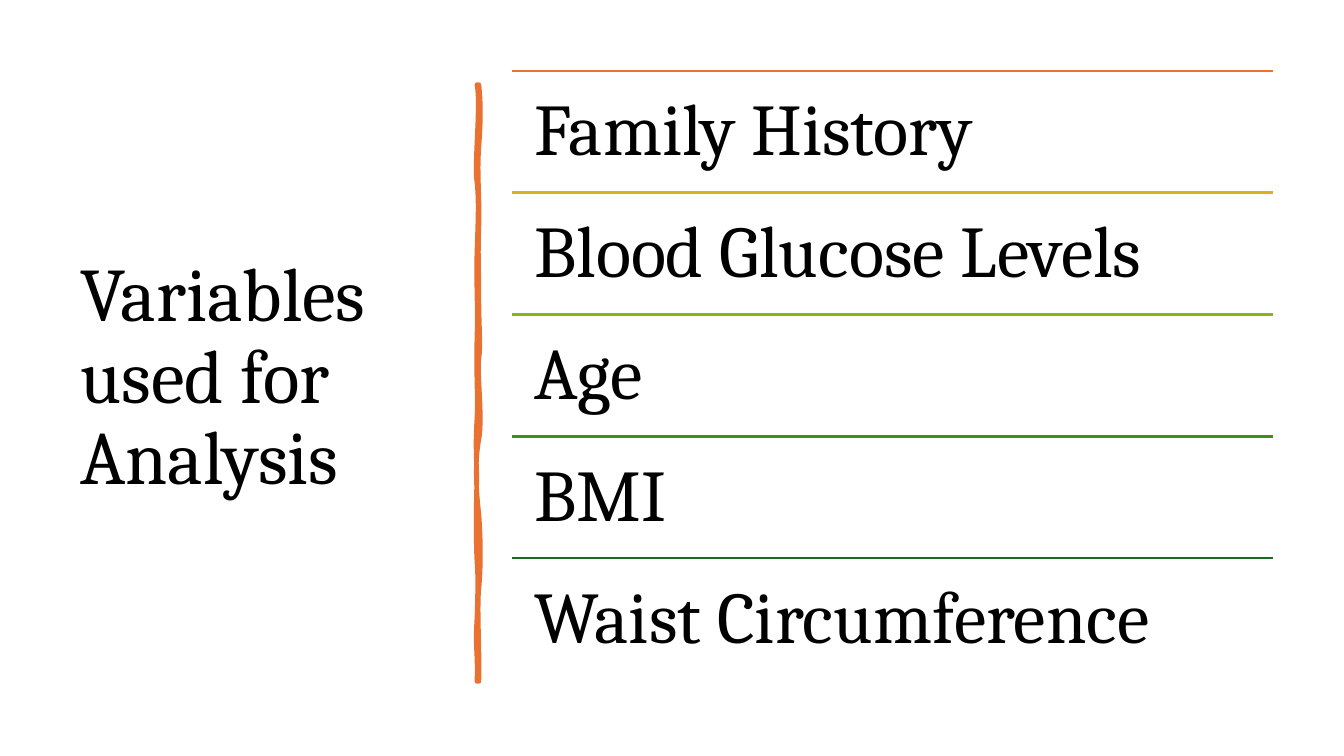
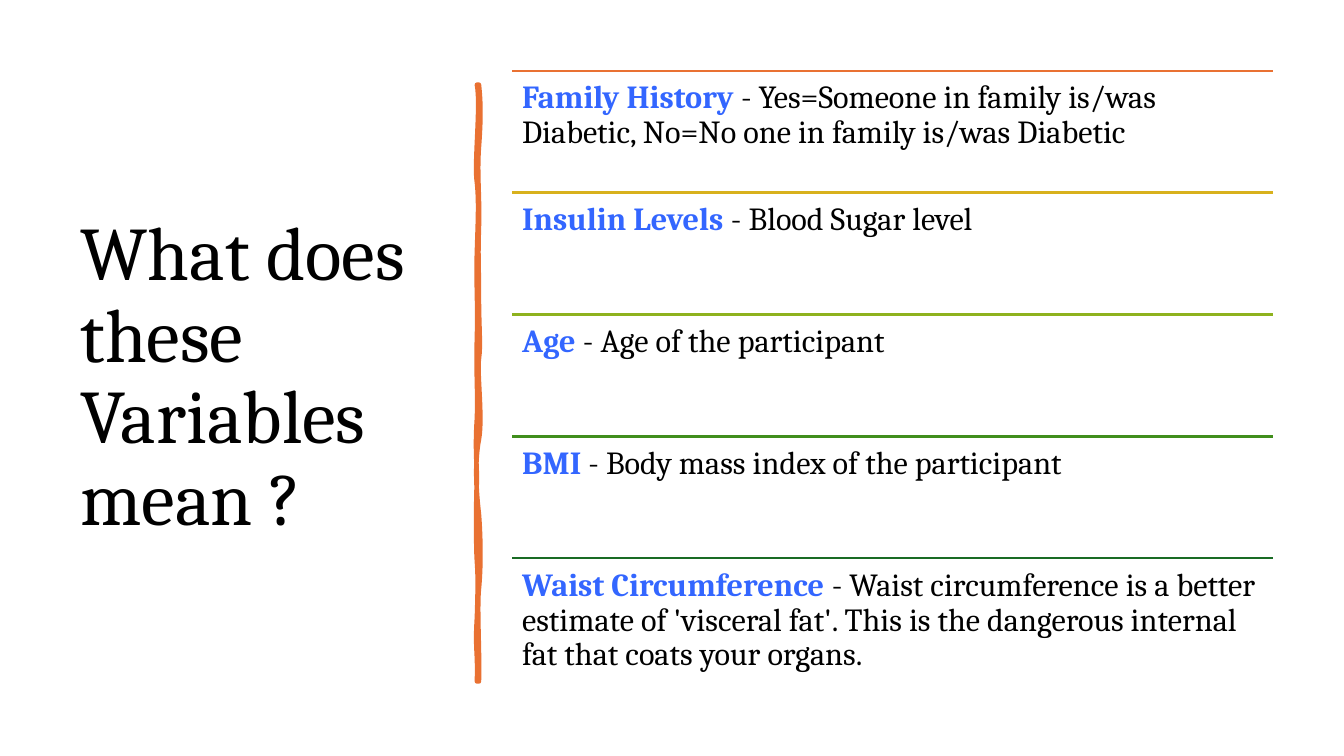
from itertools import chain

from lxml.etree import SubElement
from pptx import Presentation
from pptx.dml.color import RGBColor
from pptx.enum.shapes import MSO_CONNECTOR as Connector
from pptx.enum.text import MSO_ANCHOR as Anchor
from pptx.oxml.ns import qn
from pptx.util import Inches, Pt

FONT = "Cambria"
COLORS = {
    "text": "000000",
    "term": "3366FF",
    "divider": "E97132",
}
RULE_COLORS = ["E97132", "D8B11D", "8EB21E", "408E1C", "196B24"]
TITLE_BOX = (0.7, 0.7, 3.74, 6.11)
LIST_BOX = (5.08, 0.7, 7.55, 6.05)
DIVIDER_BOX = (4.73, 0.84, 0.02, 5.92)

DIVIDER_START = (0.02, 0)
DIVIDER_EDGE = [
    (0.04, 0.18, 0.04, 0.35, 0.02, 0.62),
    (0, 0.89, 0.03, 1.11, 0.02, 1.42),
    (0.01, 1.73, 0.02, 1.78, 0.02, 2.1),
    (0.02, 2.41, 0.04, 2.58, 0.02, 2.72),
    (0, 2.86, 0.06, 3.3, 0.02, 3.52),
    (-0.02, 3.73, -0.01, 4, 0.02, 4.26),
    (0.04, 4.52, 0.04, 4.8, 0.02, 5),
    (0, 5.19, 0.03, 5.66, 0.02, 5.92),
    (0.01, 5.92, 0, 5.92, 0, 5.92),
    (0.01, 5.62, -0.02, 5.6, 0, 5.29),
    (0.01, 4.99, 0.01, 4.86, 0, 4.73),
    (-0.01, 4.6, -0.01, 4.11, 0, 3.93),
    (0, 3.75, -0.02, 3.61, 0, 3.31),
    (0.01, 3.02, -0.01, 2.89, 0, 2.51),
    (0.01, 2.14, -0.01, 1.97, 0, 1.66),
    (0.01, 1.34, 0.02, 1.16, 0, 0.97),
    (-0.03, 0.79, 0.04, 0.2, 0, 0),
    (0.01, 0, 0.01, 0, 0.02, 0),
]

VARIABLES = ["Family History", "Blood Glucose Levels", "Age", "BMI", "Waist Circumference"]
MEANINGS = [
    ("Family History ", "- Yes=Someone in family is/was Diabetic, No=No one in family is/was Diabetic"),
    ("Insulin Levels ", "- Blood Sugar level"),
    ("Age", " - Age of the participant"),
    ("BMI", " - Body mass index of the participant"),
    ("Waist Circumference ", "- Waist circumference is a better estimate of 'visceral fat'. "
     "This is the dangerous internal fat that coats your organs."),
]


def rgb(value):
    return RGBColor.from_string(value)


def add_text(slide, box, runs, size, inset=0.1, anchor=Anchor.TOP):
    shape = slide.shapes.add_textbox(*map(Inches, box))
    frame = shape.text_frame
    frame.word_wrap = True
    frame.vertical_anchor = anchor
    frame.margin_left = frame.margin_right = Inches(inset)
    frame.margin_top = frame.margin_bottom = Inches(inset)
    paragraph = frame.paragraphs[0]
    paragraph.line_spacing = 0.9
    for text, color, bold in runs:
        run = paragraph.add_run()
        run.text = text
        run.font.name = FONT
        run.font.size = Pt(size)
        run.font.bold = bold
        run.font.color.rgb = rgb(COLORS[color])


def add_rule(slide, left, top, width, color):
    ends = map(Inches, (left, top, left + width, top))
    rule = slide.shapes.add_connector(Connector.STRAIGHT, *ends)
    rule.line.color.rgb = rgb(color)
    rule.line.width = Pt(1.5)
    SubElement(rule._element.spPr, qn("a:effectLst"))


def bend_segments(shape):
    segments = list(shape._element.iter(qn("a:lnTo")))
    for first in range(0, len(segments), 3):
        curve = segments[first].makeelement(qn("a:cubicBezTo"))
        segments[first].addprevious(curve)
        for segment in segments[first:first + 3]:
            curve.append(segment[0])
            segment.getparent().remove(segment)


def add_divider(slide, box):
    left, top = box[:2]

    def place(point):
        return Inches(left + point[0]), Inches(top + point[1])

    builder = slide.shapes.build_freeform(*place(DIVIDER_START))
    points = chain.from_iterable((edge[:2], edge[2:4], edge[4:]) for edge in DIVIDER_EDGE)
    builder.add_line_segments([place(point) for point in points], close=True)
    shape = builder.convert_to_shape()
    bend_segments(shape)
    shape.shadow.inherit = False
    shape.fill.solid()
    shape.fill.fore_color.rgb = rgb(COLORS["divider"])
    shape.line.color.rgb = rgb(COLORS["divider"])
    shape.line.width = Pt(3.25)
    SubElement(shape._element.spPr.find(qn("a:ln")), qn("a:round"))


def add_ruled_list(slide, box, rows, size, inset):
    left, top, width, height = box
    row_height = height / len(rows)
    for index, (runs, color) in enumerate(zip(rows, RULE_COLORS)):
        row_top = top + index * row_height
        add_rule(slide, left, row_top, width, color)
        add_text(slide, (left, row_top, width, row_height), runs, size, inset=inset)


def add_list_slide(presentation, title, rows, size, inset):
    slide = presentation.slides.add_slide(presentation.slide_layouts[6])
    add_text(slide, TITLE_BOX, [(title, "text", False)], 54, anchor=Anchor.MIDDLE)
    add_divider(slide, DIVIDER_BOX)
    add_ruled_list(slide, LIST_BOX, rows, size, inset)


def main():
    presentation = Presentation()
    presentation.slide_width = Inches(13.33)
    presentation.slide_height = Inches(7.5)
    variable_rows = [[(name, "text", False)] for name in VARIABLES]
    meaning_rows = [
        [(term, "term", True), (meaning, "text", False)] for term, meaning in MEANINGS
    ]
    add_list_slide(presentation, "Variables used for Analysis", variable_rows, 52, 0.22)
    add_list_slide(presentation, "What does these Variables mean ?", meaning_rows, 23, 0.1)
    presentation.save("out.pptx")


if __name__ == "__main__":
    main()
